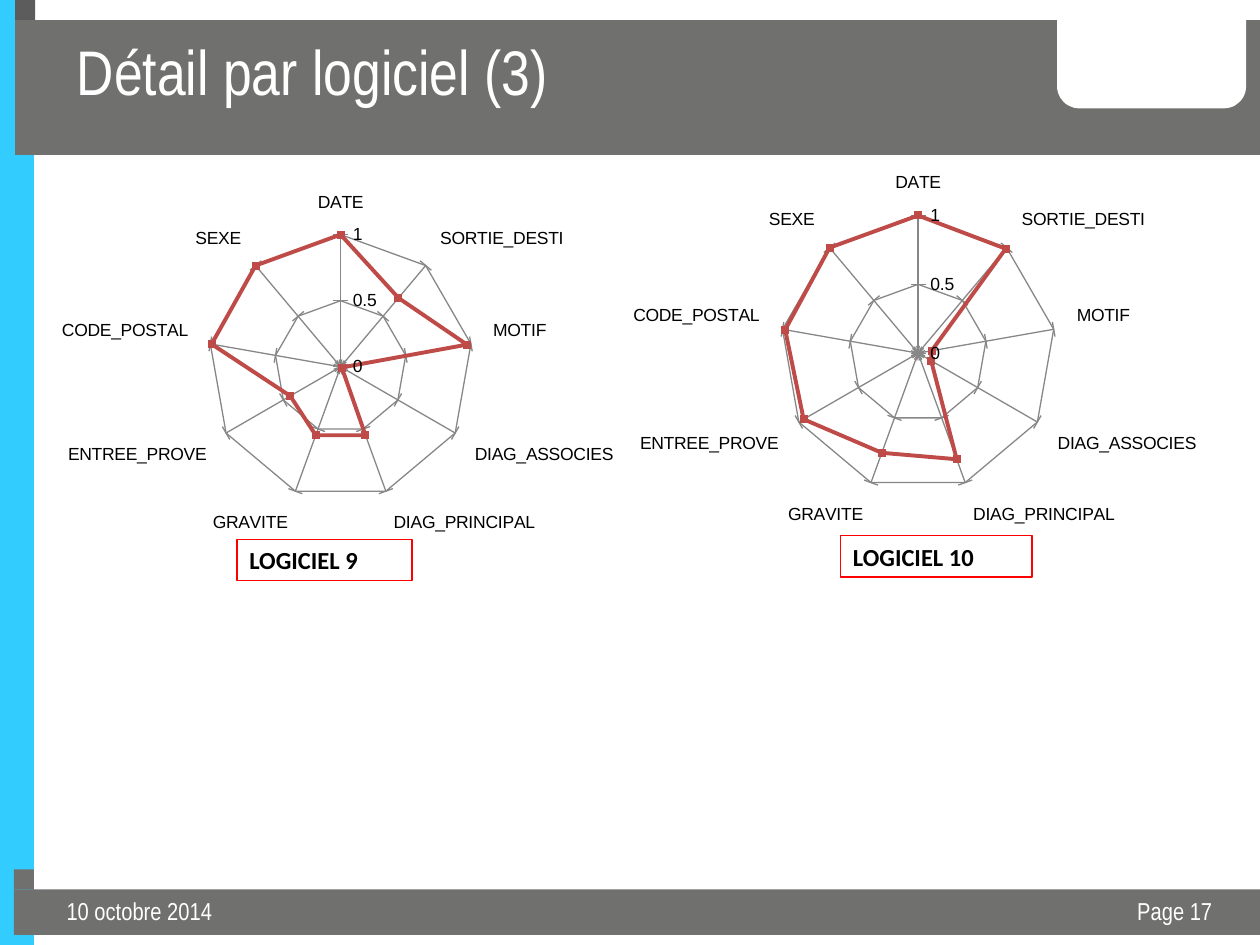
from lxml import etree
from pptx import Presentation, util as u
from pptx.chart.data import CategoryChartData
from pptx.dml.color import RGBColor
from pptx.enum import chart as charts, shapes, text
from pptx.oxml.ns import qn

COLUMNS, ROWS = 10, 7.5
GRAY, DARK, CYAN, WHITE, BLACK = "70706F", "5C5C5C", "33CCFF", "FFFFFF", "000000"
RED, GRID, SERIES = "FF0000", "878787", "BE4B48"


def color(value):
    return RGBColor.from_string(value)


class Page:
    """Style and current slide; places are (left, top, width, height) in grid cells."""

    def __init__(self, deck):
        self.cell = deck.slide_width / COLUMNS
        self.slide = deck.slides.add_slide(deck.slide_layouts[5])

    def place(self, at):
        return [u.Emu(round(self.cell * length)) for length in at]

    def paint(self, format_, value):
        format_.solid()
        format_.fore_color.rgb = color(value)

    def stroke(self, line, value, width):
        self.paint(line.fill, value)
        line.width = u.Pt(width)

    def block(self, at, fill, kind=shapes.MSO_SHAPE.RECTANGLE):
        shape = self.slide.shapes.add_shape(kind, *self.place(at))
        shape.shadow.inherit = False
        self.paint(shape.fill, fill)
        shape.line.fill.background()

    def set_text(self, box, words, align, ink, **font):
        frame = box.text_frame
        settings = dict(word_wrap=True, auto_size=text.MSO_AUTO_SIZE.NONE,
                        vertical_anchor=text.MSO_ANCHOR.TOP)
        for name, value in settings.items():
            setattr(frame, name, value)
        para = frame.paragraphs[0]
        para.alignment = align
        span = para.add_run()
        span.text = words
        for name, value in font.items():
            setattr(span.font, name, value)
        span.font.color.rgb = color(ink)

    def title(self, at, words):
        box = self.slide.shapes.title
        for name, value in zip(("left", "top", "width", "height"), self.place(at)):
            setattr(box, name, value)
        self.set_text(box, words, text.PP_ALIGN.LEFT, WHITE,
                      name="Arial Narrow", size=u.Pt(36))

    def label(self, at, words, ink, align=text.PP_ALIGN.LEFT, border=None, **font):
        box = self.slide.shapes.add_textbox(*self.place(at))
        if border:
            self.stroke(box.line, border, 0.75)
        self.set_text(box, words, align, ink, size=u.Pt(14), **font)

    def radar(self, at, categories, values):
        data = CategoryChartData()
        data.categories = categories
        data.add_series("Series 1", values)
        chart = self.slide.shapes.add_chart(
            charts.XL_CHART_TYPE.RADAR_MARKERS, *self.place(at), data).chart
        chart.has_legend = chart.has_title = False
        for name, value in dict(name="Arial", size=u.Pt(10)).items():
            setattr(chart.font, name, value)
        chart.font.color.rgb = color(BLACK)

        # Axes
        spokes, scale = chart.category_axis, chart.value_axis
        spokes.reverse_order = True
        spokes.major_tick_mark = charts.XL_TICK_MARK.OUTSIDE
        spokes.format.line.fill.background()
        limits = dict(minimum_scale=0, maximum_scale=1, major_unit=0.5,
                      major_tick_mark=charts.XL_TICK_MARK.CROSS)
        for name, value in limits.items():
            setattr(scale, name, value)
        scale.tick_labels.number_format = "General"
        scale.tick_labels.number_format_is_linked = False
        for axis in (spokes, scale):
            axis.has_major_gridlines = True
            self.stroke(axis.major_gridlines.format.line, GRID, 0.74)
        self.stroke(scale.format.line, GRID, 0.74)

        # Series
        series = chart.plots[0].series[0]
        series.smooth = False
        self.stroke(series.format.line, SERIES, 2.24)
        series.marker.style = charts.XL_MARKER_STYLE.SQUARE
        series.marker.size = 4
        self.paint(series.marker.format.fill, SERIES)
        self.stroke(series.marker.format.line, SERIES, 0.75)

        # Plot background
        area = chart.element.find(".//" + qn("c:plotArea"))
        fill = etree.SubElement(etree.SubElement(area, qn("c:spPr")), qn("a:solidFill"))
        etree.SubElement(fill, qn("a:srgbClr")).set("val", WHITE)


deck = Presentation()
deck.slide_width, deck.slide_height = u.Inches(COLUMNS), u.Inches(ROWS)
page = Page(deck)

# Side band, header and footer
for at, fill in [
    ((0, 0, 0.27, ROWS), CYAN),
    ((0.12, 0, 0.16, 0.16), DARK),
    ((0.11, 6.9, 0.16, 0.16), GRAY),
    ((0.11, 7.06, 9.89, 0.36), GRAY),
    ((0.12, 0.16, 9.88, 1.07), GRAY),
]:
    page.block(at, fill)
page.block((8.39, -0.19, 1.5, 1.05), WHITE, shapes.MSO_SHAPE.ROUNDED_RECTANGLE)

# The title is raised above the header band
title = page.slide.shapes.title.element
title.getparent().append(title)
page.title((0.51, 0.21, 7.64, 0.87), "Détail par logiciel (3)")
page.label((0.43, 7.06, 1.57, 0.32), "10 octobre 2014", WHITE, name="Arial Narrow")
page.label((8.78, 7.06, 0.94, 0.32), "Page 17", WHITE, text.PP_ALIGN.RIGHT,
           name="Arial Narrow")

# One radar chart and caption per software
CRITERIA = ["DATE", "SEXE", "CODE_POSTAL", "ENTREE_PROVE", "GRAVITE",
            "DIAG_PRINCIPAL", "DIAG_ASSOCIES", "MOTIF", "SORTIE_DESTI"]
for caption, caption_at, chart_at, scores in [
    ("LOGICIEL 9", (1.88, 4.28, 1.39, 0.33), (0.28, 1.47, 4.8, 2.81),
     (1, 1, 0.99, 0.44, 0.55, 0.55, 0.01, 0.97, 0.68)),
    ("LOGICIEL 10", (6.67, 4.25, 1.52, 0.33), (4.84, 1.31, 4.84, 2.91),
     (1, 1, 0.98, 0.96, 0.77, 0.82, 0.11, 0.1, 0.99)),
]:
    page.label(caption_at, caption, BLACK, border=RED, name="Calibri", bold=True)
    page.radar(chart_at, CRITERIA, scores)

deck.save("out.pptx")
